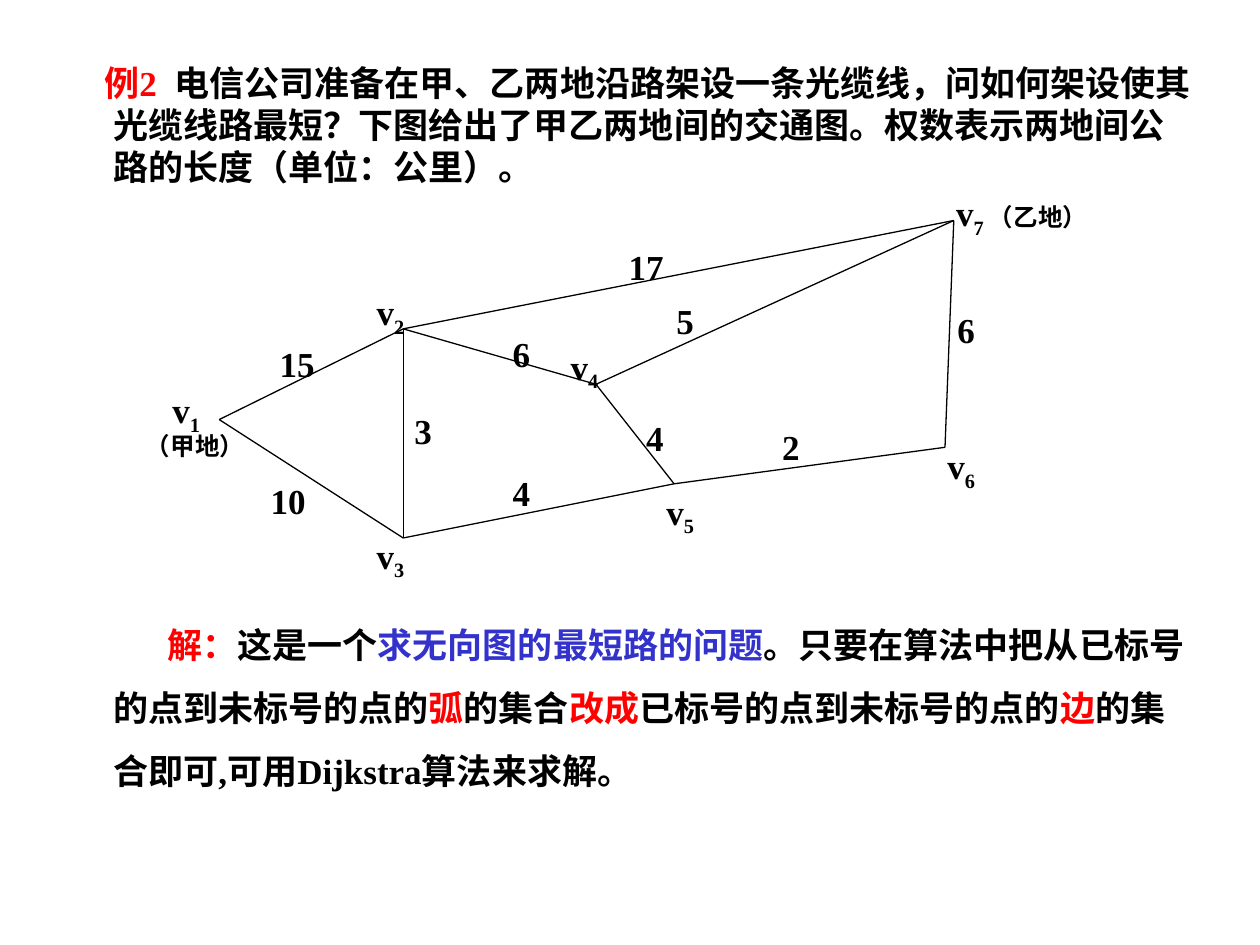
from lxml import etree
from pptx import Presentation
from pptx import util as u
from pptx.dml.color import RGBColor
from pptx.enum import shapes, text
from pptx.oxml.ns import qn

BLACK, RED, BLUE = "000000", "FF0000", "3333CC"


def add_box(left, top, width, height):
    box = slide.shapes.add_textbox(
        u.Inches(left), u.Inches(top), u.Inches(width), u.Inches(height))
    box.text_frame.word_wrap = True
    box.text_frame.vertical_anchor = text.MSO_ANCHOR.TOP
    return box.text_frame


def add_run(paragraph, words, color=BLACK, size=20, baseline=None):
    run = paragraph.add_run()
    run.text = words
    run.font.name = "Times New Roman"
    run.font.size = u.Pt(size)
    run.font.bold = True
    run.font.color.rgb = RGBColor.from_string(color)
    if baseline:
        run.font._element.set("baseline", str(baseline))
    return run


deck = Presentation()
deck.slide_width, deck.slide_height = u.Inches(10), u.Inches(7.5)
slide = deck.slides.add_slide(deck.slide_layouts[6])

body = add_box(0.42, 0.44, 9.17, 6.08)
problem, solution = body.paragraphs[0], body.add_paragraph()
for paragraph, indent in ((problem, -0.07), (solution, 0.43)):
    properties = paragraph._p.get_or_add_pPr()
    properties.set("marL", str(u.Inches(0.38)))
    properties.set("indent", str(u.Inches(indent)))

add_run(problem, "例2", RED)
gap = add_run(problem, " ", RED)
gap.font._element.set("spc", "500")
add_run(problem, "电信公司准备在甲、乙两地沿路架设一条光缆线，问如何架设使其光缆线路最短？"
                 "下图给出了甲乙两地间的交通图。权数表示两地间公路的长度（单位：公里）。")

solution.space_before = u.Pt(237)
solution.line_spacing = 1.5
for words, color in (
    ("解：", RED),
    ("这是一个", BLACK),
    ("求无向图的最短路的问题", BLUE),
    ("。只要在算法中把从已标号的点到未标号的点的", BLACK),
    ("弧", RED),
    ("的集合", BLACK),
    ("改成", RED),
    ("已标号的点到未标号的点的", BLACK),
    ("边", RED),
    ("的集合即可,可用Dijkstra算法来求解。", BLACK),
):
    add_run(solution, words, color)

nodes = {
    1: (1.74, 3.33), 2: (3.2, 2.61), 3: (3.2, 4.27), 4: (4.73, 3.05),
    5: (5.35, 3.84), 6: (7.5, 3.55), 7: (7.57, 1.75),
}
roads = [
    (1, 2, 15, 2.12, 2.67), (1, 3, 10, 2.05, 3.76), (2, 3, 3, 3.19, 3.2),
    (3, 5, 4, 3.97, 3.69), (2, 4, 6, 3.97, 2.59), (4, 5, 4, 5.03, 3.26),
    (2, 7, 17, 4.89, 1.9), (4, 7, 5, 5.27, 2.33), (5, 6, 2, 6.11, 3.33),
    (7, 6, 6, 7.5, 2.4),
]
for start, end, length, left, top in roads:
    road = slide.shapes.add_connector(
        shapes.MSO_CONNECTOR.STRAIGHT,
        *(u.Inches(value) for value in nodes[start] + nodes[end]))
    road.line.color.rgb = RGBColor.from_string(BLACK)
    road.line.width = u.Pt(0.75)
    etree.SubElement(road._element.spPr, qn("a:effectLst"))
    add_run(add_box(left, top, 0.61, 0.44).paragraphs[0], str(length))

node_labels = {
    1: (1.06, 3.16, 1.15, 0.53), 2: (2.89, 2.26, 0.61, 0.48),
    3: (2.89, 4.19, 0.61, 0.48), 4: (4.43, 2.69, 0.61, 0.48),
    5: (5.19, 3.84, 0.61, 0.48), 6: (7.42, 3.48, 0.61, 0.48),
    7: (7.49, 1.47, 1.39, 0.48),
}
for number, place in node_labels.items():
    label = add_box(*place)
    vertex = label.paragraphs[0]
    add_run(vertex, "v")
    add_run(vertex, "7 " if number == 7 else str(number), baseline=-25000)
    if number == 7:
        add_run(vertex, "（乙地）", size=14)
    if number == 1:
        vertex._p.get_or_add_pPr().set("indent", str(u.Inches(0.21)))
        town = label.add_paragraph()
        add_run(town, "（甲地）", size=14)
        town.space_before = u.Pt(8.8)
        vertex.line_spacing = town.line_spacing = 0.5

deck.save("out.pptx")
